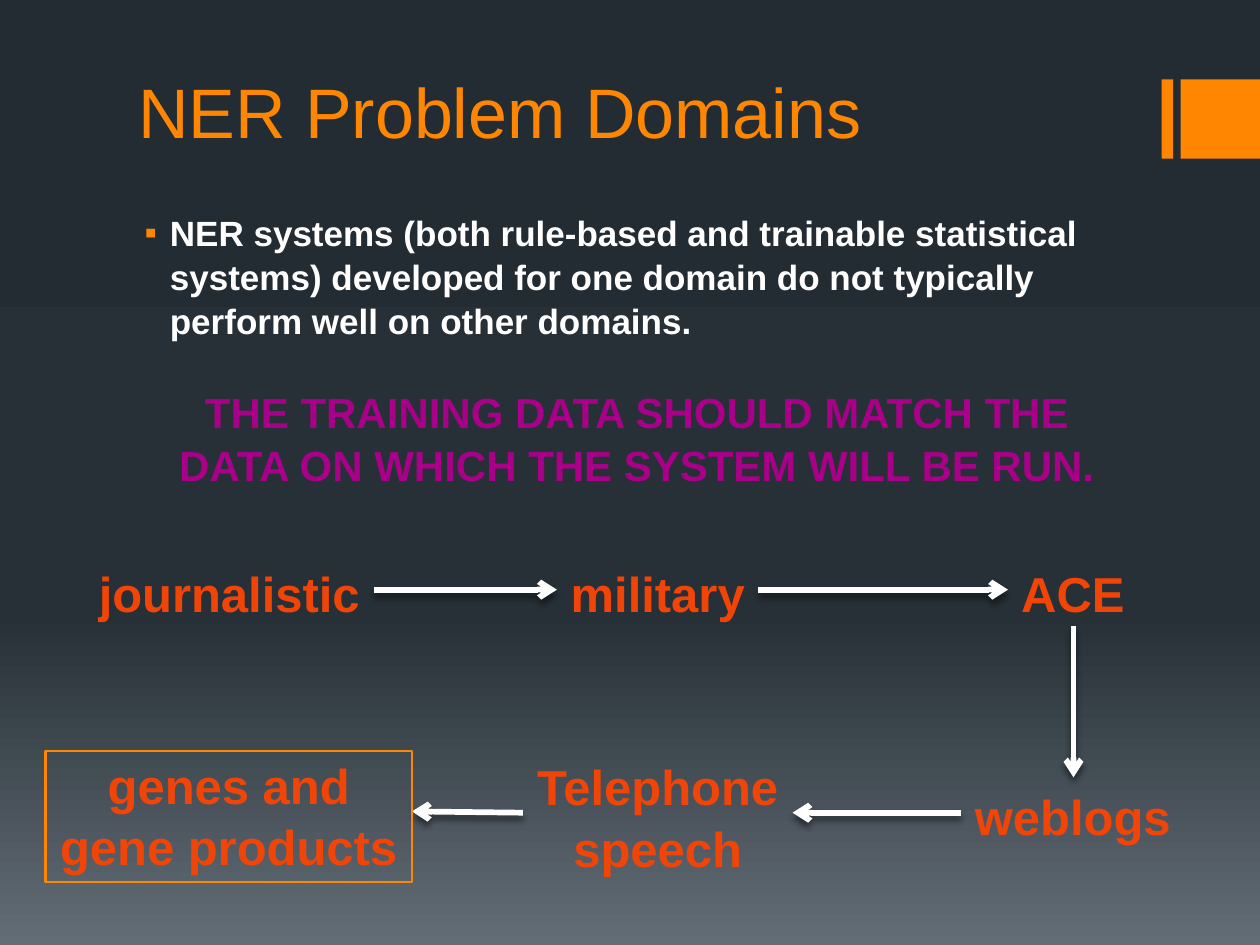
"""Build the slide on NER problem domains."""
from typing import NamedTuple, Optional

from lxml import etree
from pptx import Presentation
from pptx.dml.color import RGBColor
from pptx.enum.shapes import MSO_CONNECTOR, MSO_SHAPE
from pptx.enum.text import MSO_ANCHOR, PP_ALIGN
from pptx.oxml import parse_xml
from pptx.oxml.ns import nsdecls, qn
from pptx.slide import Slide
from pptx.util import Inches, Pt

RECT = MSO_SHAPE.RECTANGLE
LINE = MSO_CONNECTOR.STRAIGHT
LEFT, MID = PP_ALIGN.LEFT, PP_ALIGN.CENTER
TOP, LOW = MSO_ANCHOR.TOP, MSO_ANCHOR.BOTTOM

ORANGE = RGBColor(0xFF, 0x86, 0x00)
WHITE = RGBColor(0xFF, 0xFF, 0xFF)
RED = RGBColor(0xF0, 0x45, 0x07)
PLUM = RGBColor(0xA8, 0x00, 0x88)
BACK = ((0, "242C33"), (65, "273037"), (100, "636D76"))
FONT = "Arial"


class Box(NamedTuple):
    x: float
    y: float
    w: float
    h: float


class Label(NamedTuple):
    box: Box
    lines: tuple[str, ...]
    size: int = 28
    color: RGBColor = RED
    bold: bool = True
    align: PP_ALIGN = MID
    anchor: MSO_ANCHOR = TOP
    wrap: bool = False
    space: float = 1.05
    bullet: bool = False


class Arrow(NamedTuple):
    x1: float
    y1: float
    x2: float
    y2: float


TITLE = Label(Box(1, 0, 8, 1.26), ("NER Problem Domains",), 40, ORANGE, False,
              LEFT, LOW, True, 1.0)
BODY = Label(Box(1, 1.61, 8, 1.22),
             ("NER systems (both rule-based and trainable statistical systems) "
              "developed for one domain do not typically perform well on other "
              "domains.",), 20, WHITE, align=LEFT, wrap=True, bullet=True)
RULE = Label(Box(1.08, 3, 7.95, 0.91),
             ("THE TRAINING DATA SHOULD MATCH THE DATA ON WHICH THE SYSTEM "
              "WILL BE RUN.",), 24, PLUM, wrap=True)
DOMAINS = (
    Label(Box(0.67, 4.4, 2.3, 0.57), ("journalistic",)),
    Label(Box(4.42, 4.4, 1.6, 0.57), ("military",)),
    Label(Box(8, 4.4, 1.03, 0.57), ("ACE",)),
    Label(Box(7.63, 6.17, 1.77, 0.57), ("weblogs",)),
    Label(Box(4.15, 5.93, 2.14, 1.04), ("Telephone", "speech")),
    Label(Box(0.36, 5.92, 2.91, 1.04), ("genes and", "gene products")),
)
ARROWS = (
    Arrow(2.97, 4.68, 4.42, 4.68),
    Arrow(6.02, 4.68, 8, 4.68),
    Arrow(8.52, 4.97, 8.52, 6.17),
    Arrow(7.63, 6.45, 6.29, 6.45),
    Arrow(4.15, 6.45, 3.27, 6.44),
)
BARS = (Box(9.22, 0.63, 0.09, 0.63), Box(9.37, 0.63, 0.63, 0.63))
FRAME = Box(0.36, 5.96, 2.91, 1.04)


def paint_back(slide: Slide) -> None:
    fill = slide.background.fill
    fill.gradient()
    fill.gradient_angle = 270
    stops = next(slide.element.iter(qn("a:gsLst")))
    for stop in list(stops):
        stops.remove(stop)
    for pos, color in BACK:
        stop = etree.SubElement(stops, qn("a:gs"), pos=str(pos * 1000))
        etree.SubElement(stop, qn("a:srgbClr"), val=color)


def add_rect(slide: Slide, box: Box, fill: Optional[RGBColor] = None) -> None:
    rect = slide.shapes.add_shape(RECT, *map(Inches, box))
    rect.shadow.inherit = False
    if fill is None:
        rect.fill.background()
        rect.line.color.rgb = ORANGE
        rect.line.width = Pt(1.5)
    else:
        rect.fill.solid()
        rect.fill.fore_color.rgb = fill
        rect.line.fill.background()


def add_label(slide: Slide, label: Label) -> None:
    frame = slide.shapes.add_textbox(*map(Inches, label.box)).text_frame
    frame.word_wrap = label.wrap
    frame.vertical_anchor = label.anchor
    for num, line in enumerate(label.lines):
        para = frame.add_paragraph() if num else frame.paragraphs[0]
        para.alignment = label.align
        para.line_spacing = label.space
        if label.bullet:
            props = para._p.get_or_add_pPr()
            props.set("marL", str(Inches(0.25)))
            props.set("indent", str(Inches(-0.2)))
            color = etree.SubElement(props, qn("a:buClr"))
            etree.SubElement(color, qn("a:srgbClr"), val=str(ORANGE))
            etree.SubElement(props, qn("a:buFont"), typeface=FONT)
            etree.SubElement(props, qn("a:buChar"), char="▪")
        run = para.add_run()
        run.text = line
        run.font.name = FONT
        run.font.size = Pt(label.size)
        run.font.bold = label.bold
        run.font.color.rgb = label.color


def add_arrow(slide: Slide, arrow: Arrow) -> None:
    link = slide.shapes.add_connector(LINE, *map(Inches, arrow))
    link.line.color.rgb = WHITE
    link.line.width = Pt(3.25)
    etree.SubElement(link.line._get_or_add_ln(), qn("a:tailEnd"), type="arrow")
    link._element.spPr.append(parse_xml(
        f'<a:effectLst {nsdecls("a")}>'
        f'<a:outerShdw blurRad="{Pt(3.8)}" dist="{Pt(3)}" dir="5400000" '
        'rotWithShape="0"><a:srgbClr val="000000"><a:alpha val="48000"/>'
        '</a:srgbClr></a:outerShdw></a:effectLst>'))


def main() -> None:
    deck = Presentation()
    deck.slide_width, deck.slide_height = Inches(10), Inches(7.5)
    slide = deck.slides.add_slide(deck.slide_layouts[6])
    paint_back(slide)
    for bar in BARS:
        add_rect(slide, bar, ORANGE)
    for label in (TITLE, BODY, *DOMAINS):
        add_label(slide, label)
    for arrow in ARROWS:
        add_arrow(slide, arrow)
    add_rect(slide, FRAME)
    add_label(slide, RULE)
    deck.save("out.pptx")


if __name__ == "__main__":
    main()
